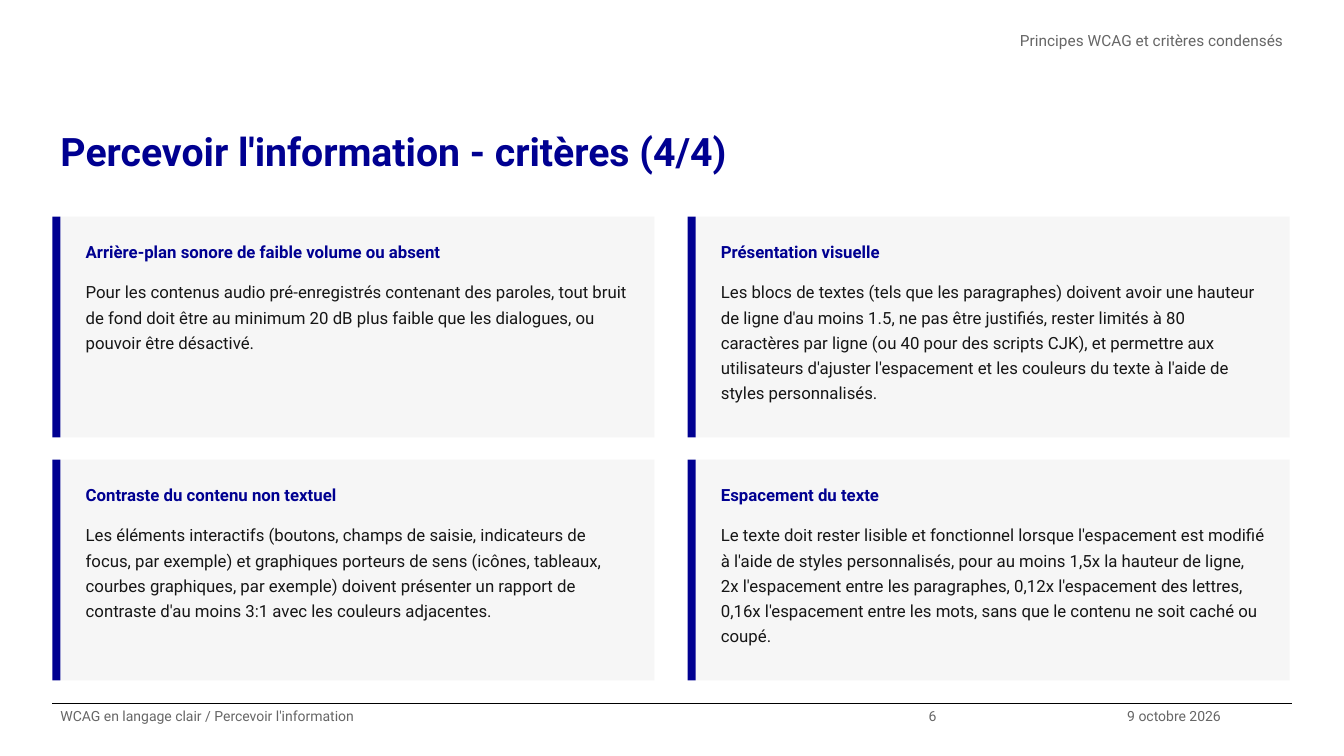
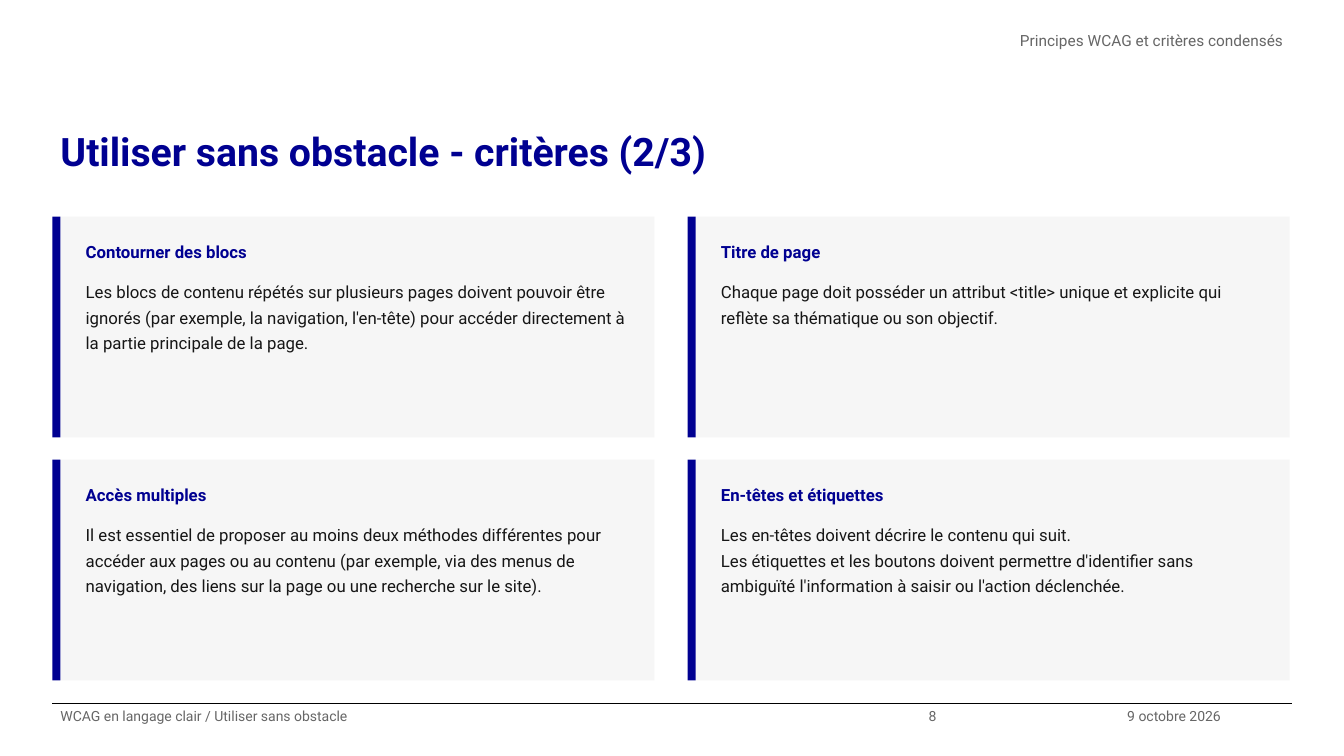
from copy import deepcopy

from pptx import Presentation
from pptx import util as u
from pptx.dml.color import RGBColor
from pptx.enum import shapes, text
from pptx.oxml import ns, xmlchemy

BLUE, PALE, INK, GREY, BLACK = "000091", "F6F6F6", "161616", "666666", "000000"
FONT = "Roboto"
HEADER = "Principes WCAG et critères condensés"
GUIDE = "WCAG en langage clair"
DATE = "9 octobre 2026"

SLIDES = [
    {
        "theme": "Percevoir l'information",
        "part": "4/4",
        "number": 6,
        "cards": [
            ("Arrière-plan sonore de faible volume ou absent",
             "Pour les contenus audio pré-enregistrés contenant des paroles, tout bruit de fond doit être "
             "au minimum 20 dB plus faible que les dialogues, ou pouvoir être désactivé."),
            ("Présentation visuelle",
             "Les blocs de textes (tels que les paragraphes) doivent avoir une hauteur de ligne d'au moins 1.5, "
             "ne pas être justifiés, rester limités à 80 caractères par ligne (ou 40 pour des scripts CJK), "
             "et permettre aux utilisateurs d'ajuster l'espacement et les couleurs du texte à l'aide de styles "
             "personnalisés."),
            ("Contraste du contenu non textuel",
             "Les éléments interactifs (boutons, champs de saisie, indicateurs de focus, par exemple) et "
             "graphiques porteurs de sens (icônes, tableaux, courbes graphiques, par exemple) doivent présenter "
             "un rapport de contraste d'au moins 3:1 avec les couleurs adjacentes."),
            ("Espacement du texte",
             "Le texte doit rester lisible et fonctionnel lorsque l'espacement est modifié à l'aide de styles "
             "personnalisés, pour au moins 1,5x la hauteur de ligne, 2x l'espacement entre les paragraphes, "
             "0,12x l'espacement des lettres, 0,16x l'espacement entre les mots, sans que le contenu ne soit "
             "caché ou coupé."),
        ],
    },
    {
        "theme": "Utiliser sans obstacle",
        "part": "2/3",
        "number": 8,
        "cards": [
            ("Contourner des blocs",
             "Les blocs de contenu répétés sur plusieurs pages doivent pouvoir être ignorés (par exemple, la "
             "navigation, l'en-tête) pour accéder directement à la partie principale de la page."),
            ("Titre de page",
             "Chaque page doit posséder un attribut <title> unique et explicite qui reflète sa thématique ou "
             "son objectif."),
            ("Accès multiples",
             "Il est essentiel de proposer au moins deux méthodes différentes pour accéder aux pages ou au "
             "contenu (par exemple, via des menus de navigation, des liens sur la page ou une recherche sur "
             "le site)."),
            ("En-têtes et étiquettes",
             "Les en-têtes doivent décrire le contenu qui suit.\n"
             "Les étiquettes et les boutons doivent permettre d'identifier sans ambiguïté l'information à "
             "saisir ou l'action déclenchée."),
        ],
    },
]

LEFT, RIGHT, FOOTER_TOP = 0.52, 12.81, 6.98
CARD_TOP, CARD_WIDTH, CARD_HEIGHT, BAR_WIDTH = 2.15, 5.89, 2.19, 0.08
COLUMN_STEP, ROW_STEP = 6.3, 2.41


def color(code):
    return RGBColor.from_string(code)


def place(shape, box):
    shape.left, shape.top, shape.width, shape.height = map(u.Inches, box)


def write(shape, content, size=12, fill=INK, bold=False, align=text.PP_ALIGN.LEFT,
          inset=0, indent=0, grow=False):
    frame = shape.text_frame
    frame.word_wrap = True
    frame.auto_size = text.MSO_AUTO_SIZE.SHAPE_TO_FIT_TEXT if grow else text.MSO_AUTO_SIZE.NONE
    frame.vertical_anchor = text.MSO_ANCHOR.TOP
    frame.margin_left = frame.margin_right = u.Inches(0.08)
    frame.margin_top = frame.margin_bottom = u.Inches(inset)
    paragraph = frame.paragraphs[0]
    paragraph.text = content
    paragraph.alignment = align
    paragraph.line_spacing = 1.25
    paragraph.space_before = u.Pt(0)
    if indent:
        properties = paragraph._p.get_or_add_pPr()
        properties.set("marL", str(u.Inches(indent)))
        properties.set("indent", str(-u.Inches(indent)))
        properties.append(xmlchemy.OxmlElement("a:buNone"))
    for run in paragraph.runs:
        run.font.name = FONT
        run.font.size = u.Pt(size)
        run.font.bold = bold
        run.font.color.rgb = color(fill)
    for line_break in paragraph._p.findall(ns.qn("a:br")):
        line_break.append(deepcopy(paragraph.runs[0].font._rPr))


def add_text(slide, box, content, **style):
    write(slide.shapes.add_textbox(*map(u.Inches, box)), content, **style)


def add_block(slide, box, fill):
    block = slide.shapes.add_shape(shapes.MSO_SHAPE.RECTANGLE, *map(u.Inches, box))
    block.shadow.inherit = False
    block.fill.solid()
    block.fill.fore_color.rgb = color(fill)
    block.line.fill.background()


def add_frame(slide, theme, part, number):
    rule = slide.shapes.add_connector(
        shapes.MSO_CONNECTOR.STRAIGHT, *map(u.Inches, (LEFT, FOOTER_TOP, RIGHT, FOOTER_TOP)))
    rule.line.color.rgb = color(BLACK)
    rule.line.width = u.Pt(0.8)
    rule._element.spPr.append(xmlchemy.OxmlElement("a:effectLst"))
    title, header = slide.placeholders
    place(title, (LEFT, 1.15, 12.28, 1.05))
    write(title, f"{theme} - critères ({part})", size=28, fill=BLUE, bold=True)
    place(header, (4.83, 0.26, 7.98, 0.52))
    write(header, HEADER, size=11, fill=GREY, align=text.PP_ALIGN.RIGHT, indent=0.12)
    footers = [(LEFT, 8.61, f"{GUIDE} / {theme}"), (9.13, 1.97, str(number)), (11.1, 1.71, DATE)]
    for left, width, content in footers:
        add_text(slide, (left, FOOTER_TOP, width, 0.52), content, size=10, fill=GREY)


def add_card(slide, index, heading, body):
    row, column = divmod(index, 2)
    left = LEFT + column * COLUMN_STEP
    top = CARD_TOP + row * ROW_STEP
    add_block(slide, (left + BAR_WIDTH, top, CARD_WIDTH, CARD_HEIGHT), PALE)
    add_block(slide, (left, top, BAR_WIDTH, CARD_HEIGHT), BLUE)
    add_text(slide, (left + 0.25, top + 0.15, 5.57, 0.35), heading,
             fill=BLUE, bold=True, inset=0.05, grow=True)
    add_text(slide, (left + 0.25, top + 0.55, 5.57, 1.54), body, inset=0.05, grow=True)


def main():
    presentation = Presentation()
    presentation.slide_width, presentation.slide_height = u.Inches(13.33), u.Inches(7.5)
    for page in SLIDES:
        slide = presentation.slides.add_slide(presentation.slide_layouts[1])
        add_frame(slide, page["theme"], page["part"], page["number"])
        for index, (heading, body) in enumerate(page["cards"]):
            add_card(slide, index, heading, body)
    presentation.save("out.pptx")


if __name__ == "__main__":
    main()
